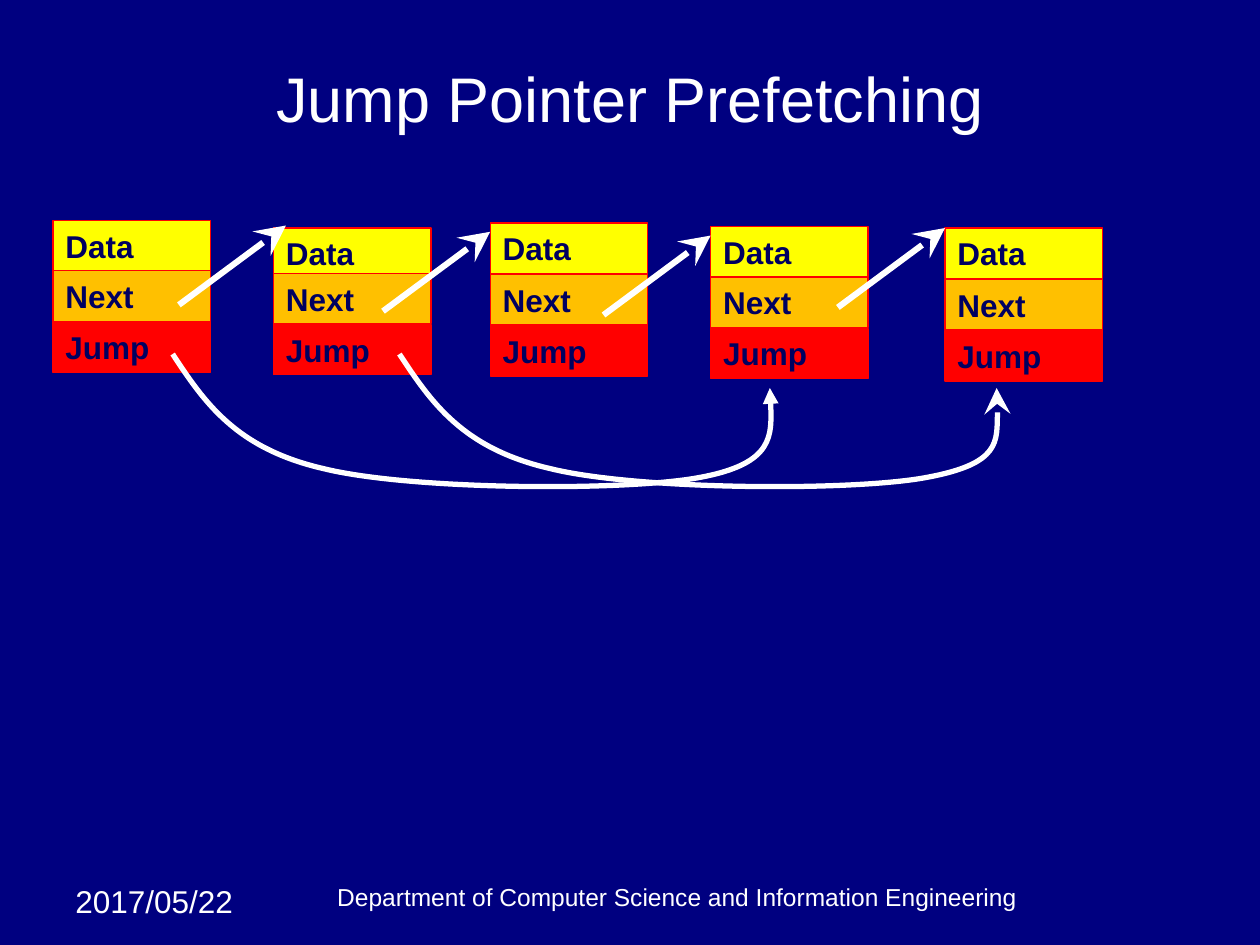
from lxml import etree
from pptx import Presentation
from pptx import util as u
from pptx.dml.color import RGBColor
from pptx.enum import shapes, text
from pptx.oxml.ns import qn


def rgb(value):
    return RGBColor.from_string(value)


def write(s, words, size, color, bold=False, align=text.PP_ALIGN.LEFT,
          anchor=text.MSO_ANCHOR.TOP):
    tf = s.text_frame
    frame = {"word_wrap": True, "vertical_anchor": anchor,
             "margin_left": u.Inches(0.1), "margin_right": u.Inches(0.1),
             "margin_top": u.Inches(0.05), "margin_bottom": u.Inches(0.05)}
    for name, value in frame.items():
        setattr(tf, name, value)
    p = tf.paragraphs[0]
    p.alignment = align
    r = p.add_run()
    r.text = words
    for name, value in {"name": "Arial", "size": u.Pt(size), "bold": bold}.items():
        setattr(r.font, name, value)
    r.font.color.rgb = rgb(color)


prs = Presentation()
prs.slide_width, prs.slide_height = u.Inches(10), u.Inches(7.5)
slide = prs.slides.add_slide(prs.slide_layouts[5])
slide.background.fill.solid()
slide.background.fill.fore_color.rgb = rgb("000080")
col, row = prs.slide_width / 8, u.Inches(0.4)  # one list cell
center = text.PP_ALIGN.CENTER

# Footer and title
footer_top = u.Inches(6.95)
s = slide.shapes.add_textbox(u.Inches(0.5), footer_top, u.Inches(1.58), row)
write(s, "2017/05/22", 18, "FFFFFF")
s = slide.shapes.add_textbox(u.Inches(2), footer_top, u.Inches(6.75), u.Inches(0.33))
write(s, "Department of Computer Science and Information Engineering", 14, "FFFFFF",
      align=center, anchor=text.MSO_ANCHOR.BOTTOM)
s = slide.shapes.title
place = {"left": 0.5, "top": 0.3, "width": 9, "height": 0.95}
for name, value in place.items():
    setattr(s, name, u.Inches(value))
write(s, "Jump Pointer Prefetching", 36, "FFFFFF", align=center,
      anchor=text.MSO_ANCHOR.MIDDLE)

# List nodes: left, top of the data field, top of the next field
nodes = [(0.42, 1.75, 2.15), (2.17, 1.81, 2.17), (3.89, 1.77, 2.18),
         (5.64, 1.8, 2.2), (7.5, 1.81, 2.22)]
fields = [("Data", "FFFF00"), ("Next", "FFC000"), ("Jump", "FF0000")]
for left, data_top, next_top in nodes:
    tops = (data_top, next_top, next_top + 0.405)
    for (label, color), top in zip(fields, tops):
        s = slide.shapes.add_shape(shapes.MSO_SHAPE.RECTANGLE, u.Inches(left),
                                   u.Inches(top), int(col), row)
        s.shadow.inherit = False
        s.fill.solid()
        s.fill.fore_color.rgb = rgb(color)
        s.line.color.rgb = rgb("FF0000")
        s.line.width = u.Pt(0.75)
        write(s, label, 18, "000060", bold=True)

# Next pointers all have the same slope; each is placed by its tip
pointers = []
for x, y in [(2.27, 1.79), (3.89, 1.84), (5.64, 1.87), (7.5, 1.81)]:
    s = slide.shapes.add_connector(
        shapes.MSO_CONNECTOR.STRAIGHT, u.Inches(x - 0.85), u.Inches(y + 0.63),
        u.Inches(x), u.Inches(y))
    pointers.append((s, 3.5, "stealth", "lg"))

# Jump pointers: a start point and three cubic curves, shifted per node
curve = [(1.37, 2.81), (1.62, 3.19), (1.87, 3.56), (2.57, 3.72), (3.26, 3.89),
         (4.96, 3.9), (5.55, 3.79), (6.15, 3.68), (6.13, 3.38), (6.11, 3.08)]
for shift, head, size in [(0, "triangle", "med"), (1.8, "stealth", "lg")]:
    points = [(u.Inches(x + shift), u.Inches(y)) for x, y in curve]
    builder = slide.shapes.build_freeform(*points[0])
    builder.add_line_segments(points[1:], close=False)
    s = builder.convert_to_shape()
    s.fill.background()
    steps = list(s._element.iter(qn("a:lnTo")))
    for i in range(0, len(steps), 3):  # three points make one curve
        bezier = etree.Element(qn("a:cubicBezTo"))
        steps[i].addprevious(bezier)
        for step in steps[i:i + 3]:
            bezier.append(step[0])
            step.getparent().remove(step)
    pointers.append((s, 3, head, size))

for s, width, head, size in pointers:
    s.line.color.rgb = rgb("FFFFFF")
    s.line.width = u.Pt(width)
    props = s._element.spPr
    etree.SubElement(props.find(qn("a:ln")), qn("a:tailEnd"),
                     type=head, w=size, len=size)
    etree.SubElement(props, qn("a:effectLst"))

prs.save("out.pptx")
